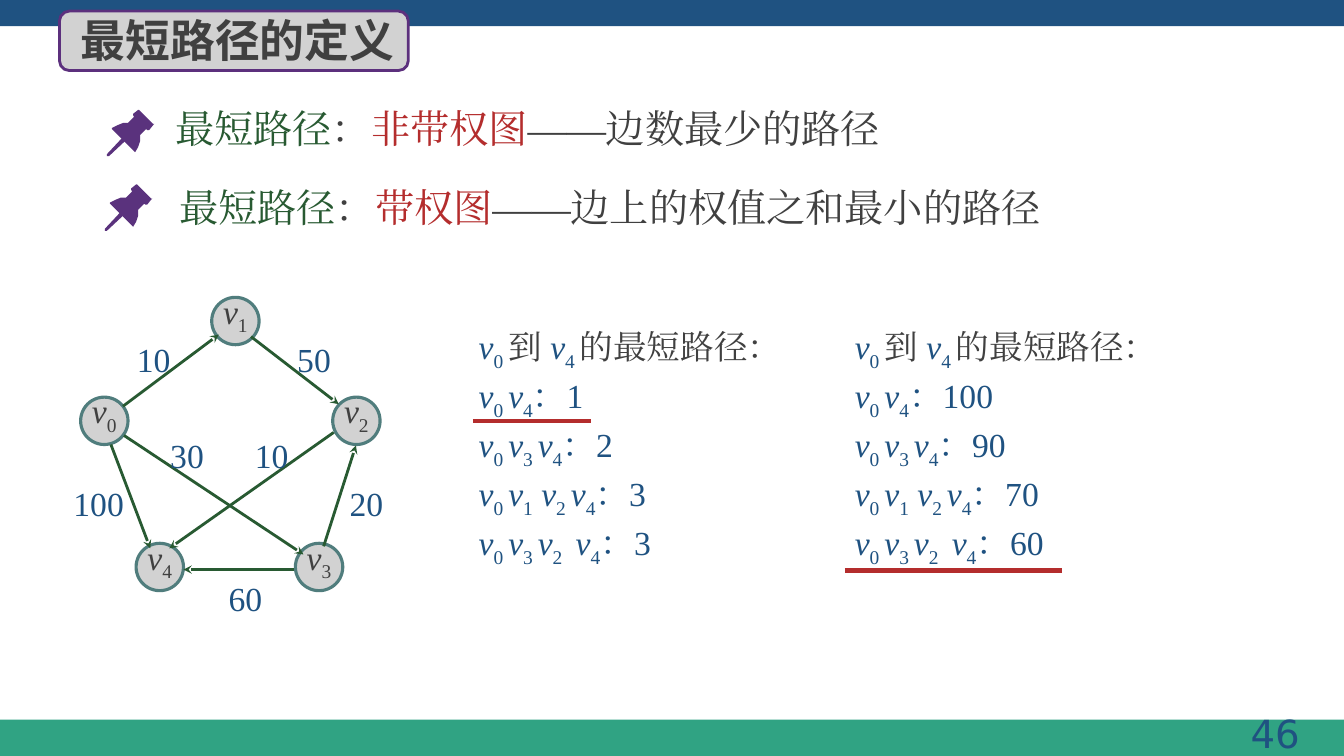
from pptx import Presentation
from pptx.dml.color import RGBColor
from pptx.enum.lang import MSO_LANGUAGE_ID
from pptx.enum.shapes import MSO_CONNECTOR, MSO_SHAPE
from pptx.enum.text import MSO_ANCHOR, MSO_AUTO_SIZE, PP_ALIGN
from pptx.oxml.xmlchemy import OxmlElement
from pptx.util import Inches, Pt

BLUE, TEAL, GREEN, RED = "1F5281", "30A383", "285A32", "B42D2D"
DARK, GREY, PURPLE, PIN, RING = "404040", "D2D2D2", "5C307D", "5A327D", "507D7D"
SERIF, SANS, DIGITS = "Times New Roman", "Noto Sans CJK SC", "DejaVu Sans"
COLS, ROWS = 133.3, 75

PIN_HEAD = [(47, 15), (33, 1), (32, 1), (27, 5), (27, 6), (28, 8), (22, 14), (17, 14),
            (11.5, 15.5), (6, 19), (6, 20), (28, 42), (29, 43), (32.5, 37.5), (34, 32),
            (34, 26), (40, 20), (41, 21), (43, 21), (47, 16), (48, 15)]
PIN_NEEDLE = [(2, 47), (1, 47), (1, 45), (16, 29), (18, 29), (19, 30), (19, 32), (3, 47)]

NODES = [("0", 8, 39.4), ("1", 21, 29.5), ("2", 33, 39.4), ("3", 29.3, 53.9), ("4", 13.5, 53.9)]
EDGES = [(11, 44.1, 14.9, 54.4), (12.3, 43.2, 30.1, 55), (29.2, 56.5, 18.2, 56.5),
         (33.1, 42.9, 16.8, 54.4), (24.9, 33.4, 33.6, 40.1), (32.1, 54.2, 35.3, 44.2),
         (12.2, 40.3, 21.7, 33.2)]
WEIGHTS = [("10", 12.6, 32.2), ("50", 28.5, 32.2), ("30", 15.9, 41.8), ("10", 24.3, 41.8),
           ("100", 6.3, 46.5), ("20", 33.7, 46.5), ("60", 21.7, 55.9)]
ROUTES = ["v|0 |v|4|：", "v|0 |v|3 |v|4|：", "v|0 |v|1| v|2 |v|4|：", "v|0 |v|3 |v|2 | v|4|："]
HEADING = "v|0 |到 |v|4 |的最短路径："


def rgb(value):
    """Turn a hex string into a colour."""
    return RGBColor.from_string(value)


class Deck:
    """Holds the presentation, its slide and the grid."""

    def __init__(self):
        """Open a title-only slide laid on a grid of tenths of an inch."""
        self.prs = Presentation()
        self.cell = Inches(0.1)
        self.prs.slide_width, self.prs.slide_height = self.box(COLS, ROWS)
        self.s = self.prs.slides.add_slide(self.prs.slide_layouts[5])

    def box(self, *cells):
        """Turn grid cells into lengths."""
        return [round(c * self.cell) for c in cells]

    def paint(self, sp, fill, line=None, width=0):
        """Set the fill and outline of a shape."""
        sp.shadow.inherit = False
        sp.fill.solid()
        sp.fill.fore_color.rgb = rgb(fill)
        if line:
            sp.line.color.rgb = rgb(line)
            sp.line.width = Pt(width)
        else:
            sp.line.fill.background()
        return sp

    def shape(self, kind, at, fill, line=None, width=0):
        """Add a preset shape."""
        return self.paint(self.s.shapes.add_shape(kind, *self.box(*at)), fill, line, width)

    def frame(self, sp, inset=None):
        """Prepare the text frame of a shape."""
        tf = sp.text_frame
        tf.word_wrap = True
        tf.auto_size = MSO_AUTO_SIZE.NONE
        tf.vertical_anchor = MSO_ANCHOR.MIDDLE
        if inset is not None:
            tf.margin_left = tf.margin_right = tf.margin_top = tf.margin_bottom = inset
        return tf

    def run(self, p, text, color, size=24, font=SERIF, bold=False, italic=False, sub=False):
        """Add one run to a paragraph."""
        r = p.add_run()
        r.text = text
        r.font.size, r.font.name = Pt(size), font
        r.font.bold, r.font.italic = bold, italic
        r.font.color.rgb = rgb(color)
        r.font.language_id = MSO_LANGUAGE_ID.SIMPLIFIED_CHINESE
        rPr = r.font._element
        ea = OxmlElement("a:ea")
        ea.set("typeface", font)
        rPr.append(ea)
        if sub:
            rPr.set("baseline", "-25000")

    def formula(self, p, text, color):
        """Add runs of italic letters, subscripts and plain text."""
        for part in text.split("|"):
            tint = DARK if part[0] in "到的" else color
            self.run(p, part, tint, italic="v" in part, sub=part[0].isdigit())

    def text(self, at, runs, align=PP_ALIGN.LEFT, spacing=None, **style):
        """Add a one-paragraph text box from text and colour pairs."""
        p = self.frame(self.s.shapes.add_textbox(*self.box(*at))).paragraphs[0]
        p.alignment = align
        if spacing:
            p.line_spacing = Pt(spacing)
        for text, color in runs:
            self.run(p, text, color, **style)

    def title(self, at, text):
        """Place the title on its plate, above the shapes so far."""
        sp = self.s.shapes.title
        sp.left, sp.top, sp.width, sp.height = self.box(*at)
        sp.element.getparent().append(sp.element)
        p = self.frame(sp).paragraphs[0]
        p.alignment = PP_ALIGN.LEFT
        self.run(p, text, DARK, 32, SANS, bold=True)

    def line(self, ends, color, width, arrow=False):
        """Add a straight line, with an arrowhead if wanted."""
        c = self.s.shapes.add_connector(MSO_CONNECTOR.STRAIGHT, *self.box(*ends))
        c.line.color.rgb = rgb(color)
        c.line.width = Pt(width)
        if arrow:
            tail = OxmlElement("a:tailEnd")
            tail.set("type", "stealth")
            c.line._get_or_add_ln().append(tail)
        c.element.spPr.append(OxmlElement("a:effectLst"))

    def pin(self, col, row):
        """Draw a push pin from outlines in hundredths of an inch."""
        for outline in (PIN_HEAD, PIN_NEEDLE):
            fb = self.s.shapes.build_freeform(*outline[0], scale=self.cell / 10)
            fb.add_line_segments(outline[1:], close=True)
            self.paint(fb.convert_to_shape(*self.box(col, row)), PIN)

    def node(self, index, col, row):
        """Add a graph vertex."""
        sp = self.shape(MSO_SHAPE.OVAL, (col, row, 4.7, 4.7), GREY, RING, 2.25)
        p = self.frame(sp, 0).paragraphs[0]
        p.alignment = PP_ALIGN.CENTER
        p.line_spacing = Pt(22)
        self.formula(p, "v|" + index, DARK)

    def routes(self, at, lengths):
        """List the routes with their lengths."""
        tf = self.frame(self.s.shapes.add_textbox(*self.box(*at)))
        rows = [HEADING] + [route + n for route, n in zip(ROUTES, lengths)]
        for i, row in enumerate(rows):
            p = tf.add_paragraph() if i else tf.paragraphs[0]
            p.line_spacing = Pt(35)
            self.formula(p, row, BLUE)


def main():
    """Build the slide."""
    d = Deck()
    d.shape(MSO_SHAPE.RECTANGLE, (0, 71.4, COLS, 3.6), TEAL)
    d.shape(MSO_SHAPE.RECTANGLE, (0, 0, COLS, 2.6), BLUE)
    d.text((100.5, 69.9, 29.4, 5.7), [("46", BLUE)], PP_ALIGN.RIGHT, size=27.6, font=DIGITS)
    d.shape(MSO_SHAPE.ROUNDED_RECTANGLE, (5.9, 1.1, 34.6, 5.9), GREY, PURPLE, 2)
    d.title((7, 0.7, 35.4, 6.4), "最短路径的定义")

    definitions = [((16.4, 9.8, 80.8, 5.7), (10.5, 10.8), "非带权图", "——边数最少的路径"),
                   ((16.8, 17.7, 88.6, 5.7), (10.3, 18.2), "带权图", "——边上的权值之和最小的路径")]
    for at, pin, graph, meaning in definitions:
        d.text(at, [("最短路径", GREEN), ("：", DARK), (graph, RED), (meaning, DARK)], size=28)
        d.pin(*pin)

    for node in NODES:
        d.node(*node)
    for ends in EDGES:
        d.line(ends, GREEN, 2, arrow=True)
    for weight, col, row in WEIGHTS:
        d.text((col, row, 4.1 + 1.6 * (len(weight) - 1), 5.9), [(weight, BLUE)], spacing=35)

    d.routes((46.5, 31.4, 35, 25.6), ["1", "2", "3", "3"])
    d.line((46.9, 41.8, 58.6, 41.8), RED, 3)
    d.routes((83.8, 31.4, 35, 25.6), ["100", "90", "70", "60"])
    d.line((83.8, 56.6, 105.3, 56.6), RED, 3)
    d.prs.save("out.pptx")


if __name__ == "__main__":
    main()
